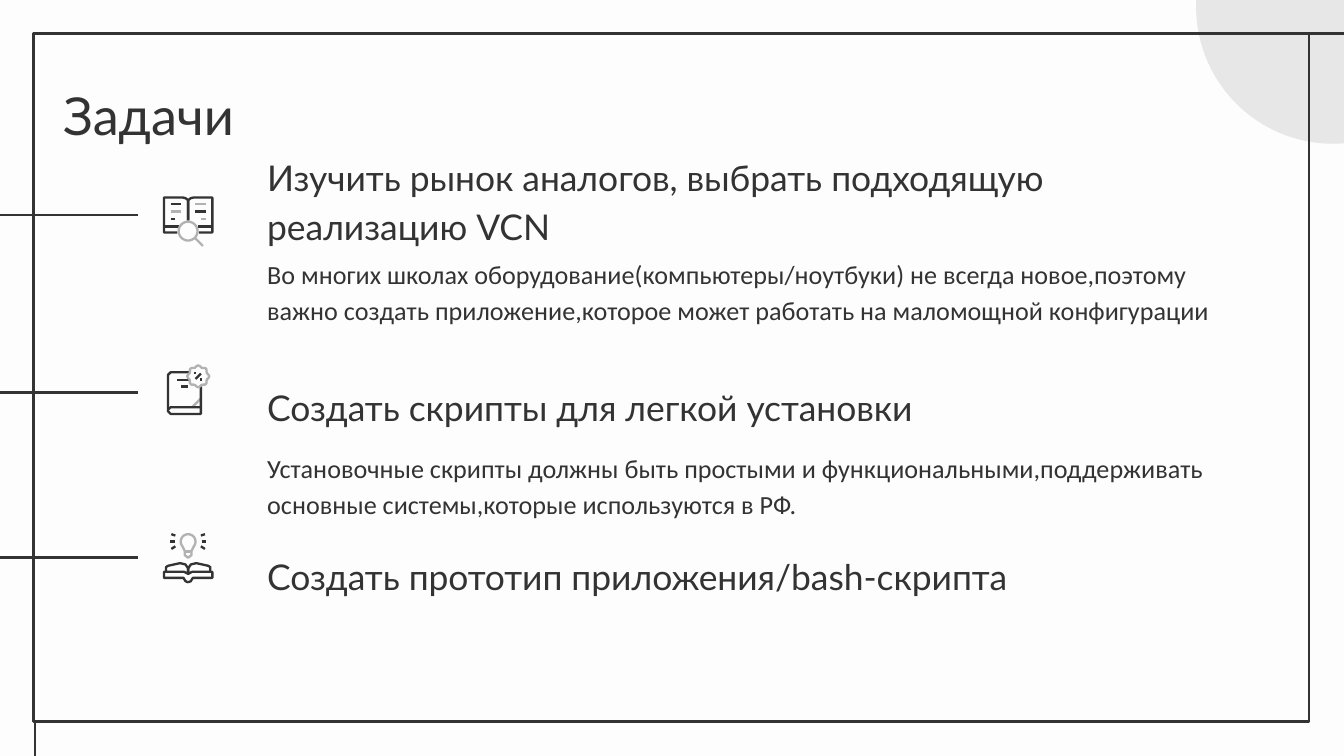
import math

import pptx
import pptx.dml.color
import pptx.enum.shapes
import pptx.enum.text
import pptx.oxml.ns
import pptx.util
from lxml import etree
from pptx.util import Inches

DARK, GRAY, PALE, PAPER = "333333", "B2B2B2", "E8E7E7", "FDFDFD"
WIDTH = 10
HEIGHT = WIDTH * 9 / 16
FRAME = (0.25, 0.25, 9.49, 5.12)
TEXT_LEFT, TEXT_WIDTH, TEXT_HEIGHT = 1.89, 7.23, 0.58
ICON_X, TICK_END = 1.4, 1.03

TITLE = "Задачи"
# heading, heading top, description, description top, tick height
TASKS = [
    ("Изучить рынок аналогов, выбрать подходящую реализацию VCN", 1.36,
     "Во многих школах оборудование(компьютеры/ноутбуки) не всегда новое,поэтому "
     "важно создать приложение,которое может работать на маломощной конфигурации",
     1.79, 1.6),
    ("Создать скрипты для легкой установки", 2.71,
     "Установочные скрипты должны быть простыми и функциональными,поддерживать "
     "основные системы,которые используются в РФ.", 3.23, 2.92),
    ("Создать прототип приложения/bash-скрипта", 3.97, None, None, 4.15),
]


def arc(x, y, radius, start=0, end=360, lobes=0):
    """Points along an arc; lobes gives it a scalloped edge."""
    points = []
    for angle in range(start, end + 1, 10):
        turn = math.radians(angle)
        reach = radius + (0.7 * math.cos(lobes * turn) if lobes else 0)
        points.append((x + reach * math.cos(turn), y + reach * math.sin(turn)))
    return points


def mirrored(strokes):
    return strokes + [(color, [(-x, y) for x, y in points]) for color, points in strokes]


# Icon strokes, in hundredths of an inch from the icon's centre
BOOK_WITH_LENS = mirrored([
    (DARK, [(0, -1), (0, -16), (-2, -17.5), (-4, -18), (-18, -18), (-18, 8), (-8, 8)]),
    (DARK, [(-18, 3.5), (-7, 3.5)]),
]) + [
    (DARK, [(-13, -13), (-5, -13)]),
    (GRAY, [(-13, -7.5), (-5, -7.5)]),
    (DARK, [(-13, -2), (-10, -2)]),
    (GRAY, [(5, -13), (13, -13)]),
    (DARK, [(5, -7.5), (13, -7.5)]),
    (GRAY, [(9.5, -2), (13, -2)]),
    (GRAY, arc(0, 7, 7)),
    (GRAY, [(5, 12), (11, 18)]),
]
BOOK_WITH_BADGE = [
    (GRAY, [(3, 13), (9.5, 6.5)]),
    (DARK, [(1, -13), (-13, -13), (-15, -11), (-15, 16), (-13, 18), (9.5, 18), (9.5, -3)]),
    (DARK, [(9.5, 13), (-13, 13), (-15, 15)]),
    (DARK, [(-8, -7), (1, -7)]),
    (DARK, [(-5, -2.5), (0, -2.5)]),
    (GRAY, arc(7.5, -10, 7.5, lobes=8)),
    (DARK, [(5.5, -8), (9.5, -12)]),
    (DARK, [(4.5, -12.5), (6, -12.5)]),
    (DARK, [(9, -7.5), (10.5, -7.5)]),
]
BOOK_WITH_BULB = mirrored([
    (DARK, [(0, 12), (-3, 10.5), (-16.5, 10.5), (-16.5, 7), (-15, 6), (-6, 4),
            (-2, 5), (0, 8), (0, 12)]),
    (DARK, [(-16.5, 10.5), (-18, 10.5), (-18, 15), (-3.5, 15), (-2, 17.5), (0, 18.3)]),
    (DARK, [(-10, -12), (-13.5, -12)]),
    (DARK, [(-9.5, -16.5), (-12.5, -17.5)]),
    (DARK, [(-9.5, -8.5), (-12.5, -6.5)]),
]) + [
    (GRAY, arc(0, -12, 5.5, 140, 400)
     + [(2.5, -5), (2.5, -2), (0, 0), (-2.5, -2), (-2.5, -5), (-4.2, -8.5)]),
    (GRAY, [(-2.5, -4.5), (2.5, -4.5)]),
]
ICONS = [(1.65, BOOK_WITH_LENS), (2.9, BOOK_WITH_BADGE), (4.15, BOOK_WITH_BULB)]


def rgb(color):
    return pptx.dml.color.RGBColor.from_string(color)


def set_line(shape, color, width):
    shape.line.color.rgb = rgb(color)
    shape.line.width = pptx.util.Pt(width)


def add_line(slide, start, end, color=DARK, width=1.5):
    connector = slide.shapes.add_connector(
        pptx.enum.shapes.MSO_CONNECTOR.STRAIGHT, *map(Inches, start + end))
    set_line(connector, color, width)
    properties = connector._element.spPr
    etree.SubElement(properties, pptx.oxml.ns.qn("a:effectLst"))


def add_stroke(slide, points, color):
    if len(points) == 2:
        add_line(slide, *points, color, 1.25)
        return
    corners = [(Inches(x), Inches(y)) for x, y in points]
    builder = slide.shapes.build_freeform(*corners[0])
    builder.add_line_segments(corners[1:], close=False)
    shape = builder.convert_to_shape()
    shape.shadow.inherit = False
    shape.fill.background()
    set_line(shape, color, 1.25)


def set_text(shape, text, font, size, spacing=1.0, anchor="TOP"):
    frame = shape.text_frame
    frame.word_wrap = True
    frame.auto_size = pptx.enum.text.MSO_AUTO_SIZE.NONE
    frame.vertical_anchor = pptx.enum.text.MSO_ANCHOR[anchor]
    frame.margin_left = frame.margin_right = Inches(0.1)
    frame.margin_top = frame.margin_bottom = Inches(0.1)
    paragraph = frame.paragraphs[0]
    paragraph.alignment = pptx.enum.text.PP_ALIGN.LEFT
    paragraph.line_spacing = spacing
    run = paragraph.add_run()
    run.text = text
    run.font.name = font
    run.font.size = pptx.util.Pt(size)
    run.font.color.rgb = rgb(DARK)


def add_text(slide, top, *style):
    box = slide.shapes.add_textbox(
        *map(Inches, (TEXT_LEFT, top, TEXT_WIDTH, TEXT_HEIGHT)))
    set_text(box, *style)


def add_decoration(slide):
    circle = slide.shapes.add_shape(
        pptx.enum.shapes.MSO_SHAPE.OVAL, *map(Inches, (8.9, -0.97, 2.04, 2.04)))
    circle.shadow.inherit = False
    circle.fill.solid()
    circle.fill.fore_color.rgb = rgb(PALE)
    circle.line.fill.background()

    frame = slide.shapes.add_shape(
        pptx.enum.shapes.MSO_SHAPE.RECTANGLE, *map(Inches, FRAME))
    frame.shadow.inherit = False
    frame.fill.background()
    set_line(frame, DARK, 1.5)

    left, top, width, height = FRAME
    add_line(slide, (left + width, top), (WIDTH, top))
    add_line(slide, (left + 0.01, top + height), (left + 0.01, HEIGHT))


def main():
    presentation = pptx.Presentation()
    presentation.slide_width = Inches(WIDTH)
    presentation.slide_height = Inches(HEIGHT)
    slide = presentation.slides.add_slide(presentation.slide_layouts[5])
    slide.background.fill.solid()
    slide.background.fill.fore_color.rgb = rgb(PAPER)

    add_decoration(slide)
    title = slide.shapes.title
    title.left, title.top, title.width, title.height = map(
        Inches, (0.37, 0.52, 8.43, 0.63))
    set_text(title, TITLE, "Lato", 28)

    for heading, heading_top, description, description_top, tick_y in TASKS:
        add_line(slide, (0, tick_y), (TICK_END, tick_y))
        add_text(slide, heading_top, heading, "Lato", 19, 1.15, "BOTTOM")
        if description:
            add_text(slide, description_top, description, "Calibri", 14, 1.15)

    for icon_y, strokes in ICONS:
        for color, points in strokes:
            placed = [(ICON_X + x / 100, icon_y + y / 100) for x, y in points]
            add_stroke(slide, placed, color)

    presentation.save("out.pptx")


if __name__ == "__main__":
    main()
